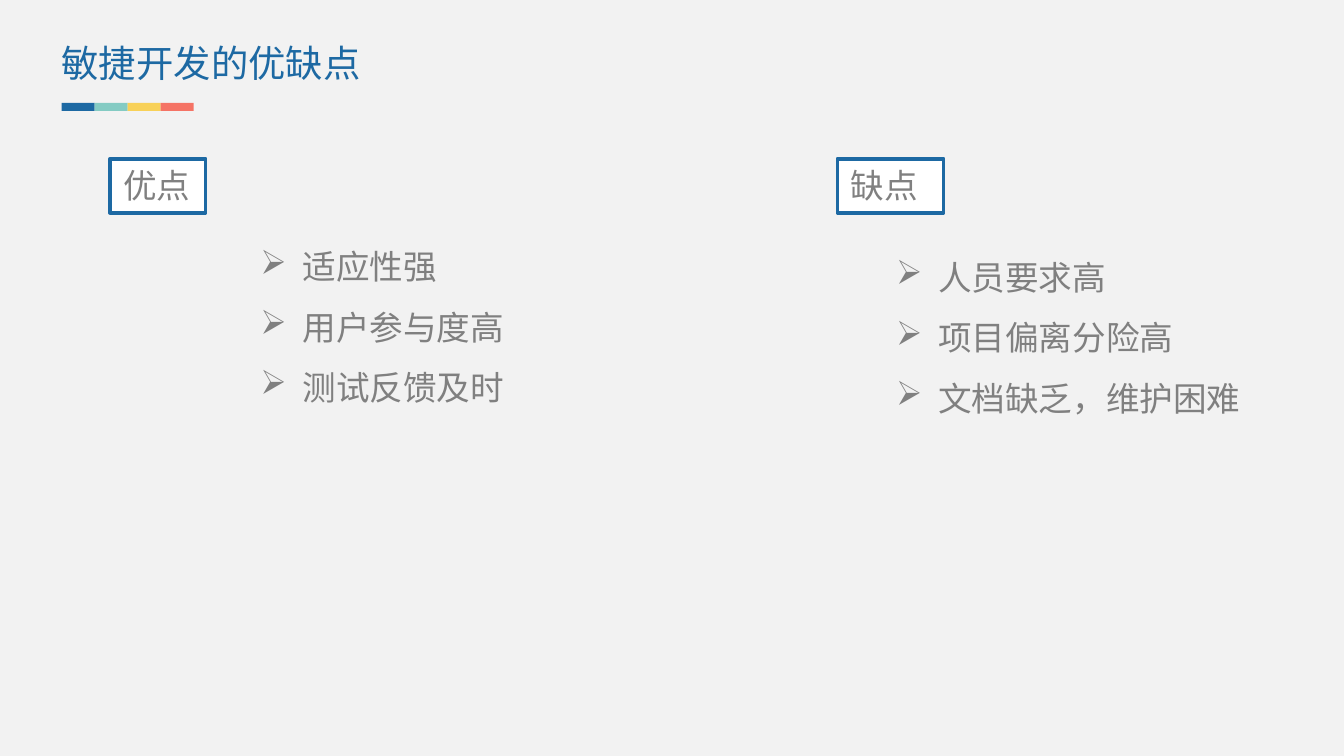
from lxml import etree
from pptx import Presentation
from pptx.dml.color import RGBColor
from pptx.enum import shapes, text
from pptx.oxml import ns
from pptx.util import Pt

FONT = "Noto Sans CJK SC"
COLORS = {
    "background": "F2F2F2",
    "blue": "1D69A3",
    "teal": "84CBC3",
    "yellow": "F8D158",
    "red": "F57365",
    "gray": "808080",
    "white": "FFFFFF",
}
INDENT = 22.5


def color(name):
    return RGBColor.from_string(COLORS[name])


def set_format(target, values):
    for name, value in values.items():
        setattr(target, name, value)


def write_text(shape, lines, size, color_name, margins=(7.2, 3.6), spacing=None):
    frame = shape.text_frame
    horizontal, vertical = map(Pt, margins)
    set_format(frame, {
        "word_wrap": True,
        "auto_size": text.MSO_AUTO_SIZE.SHAPE_TO_FIT_TEXT,
        "vertical_anchor": text.MSO_ANCHOR.TOP,
        "margin_left": horizontal, "margin_right": horizontal,
        "margin_top": vertical, "margin_bottom": vertical,
    })
    for index, line in enumerate(lines):
        paragraph = frame.add_paragraph() if index else frame.paragraphs[0]
        set_format(paragraph, {"alignment": text.PP_ALIGN.LEFT, "line_spacing": spacing})
        run = paragraph.add_run()
        run.text = line
        set_format(run.font, {"size": Pt(size), "name": FONT})
        run.font.color.rgb = color(color_name)
        # East Asian typeface
        east_asian = etree.SubElement(run.font._element, ns.qn("a:ea"))
        east_asian.set("typeface", FONT)


def add_rectangle(slide, box, fill, outline=None):
    shape = slide.shapes.add_shape(shapes.MSO_SHAPE.RECTANGLE, *map(Pt, box))
    shape.shadow.inherit = False
    shape.fill.solid()
    shape.fill.fore_color.rgb = color(fill)
    if outline:
        shape.line.color.rgb = color(outline)
        shape.line.width = Pt(2)
    else:
        shape.line.fill.background()
    return shape


def add_title(slide, title):
    shape = slide.shapes.add_textbox(Pt(33), Pt(21.6), Pt(219), Pt(24.5))
    write_text(shape, [title], 20, "blue", margins=(0, 0))


def add_color_bar(slide, names):
    width = 17.7
    for index, name in enumerate(names):
        add_rectangle(slide, (33 + index * width, 55.2, width, 4.3), name)


def add_heading(slide, box, heading):
    shape = add_rectangle(slide, box, "white", "blue")
    write_text(shape, [heading], 18, "gray")


def add_bullet_list(slide, box, items):
    shape = slide.shapes.add_textbox(*map(Pt, box))
    write_text(shape, items, 18, "gray", spacing=1.5)
    for paragraph in shape.text_frame.paragraphs:
        properties = paragraph._p.get_or_add_pPr()
        properties.set("marL", str(Pt(INDENT)))
        properties.set("indent", str(Pt(-INDENT)))
        bullet = etree.SubElement(properties, ns.qn("a:buChar"))
        bullet.set("char", "➢")


def main():
    presentation = Presentation()
    set_format(presentation, {"slide_width": Pt(720), "slide_height": Pt(405)})
    slide = presentation.slides.add_slide(presentation.slide_layouts[6])
    slide.background.fill.solid()
    slide.background.fill.fore_color.rgb = color("background")

    # Title with its colour bar
    add_title(slide, "敏捷开发的优缺点")
    add_color_bar(slide, ["blue", "teal", "yellow", "red"])

    # Advantages
    add_heading(slide, (59, 85, 51.2, 29), "优点")
    add_bullet_list(slide, (132.5, 117.4, 148.3, 101.5),
                    ["适应性强", "用户参与度高", "测试反馈及时"])

    # Disadvantages
    add_heading(slide, (448.6, 85, 56.9, 29), "缺点")
    add_bullet_list(slide, (473, 123.1, 200.2, 101.5),
                    ["人员要求高", "项目偏离分险高", "文档缺乏，维护困难"])

    presentation.save("out.pptx")


if __name__ == "__main__":
    main()
